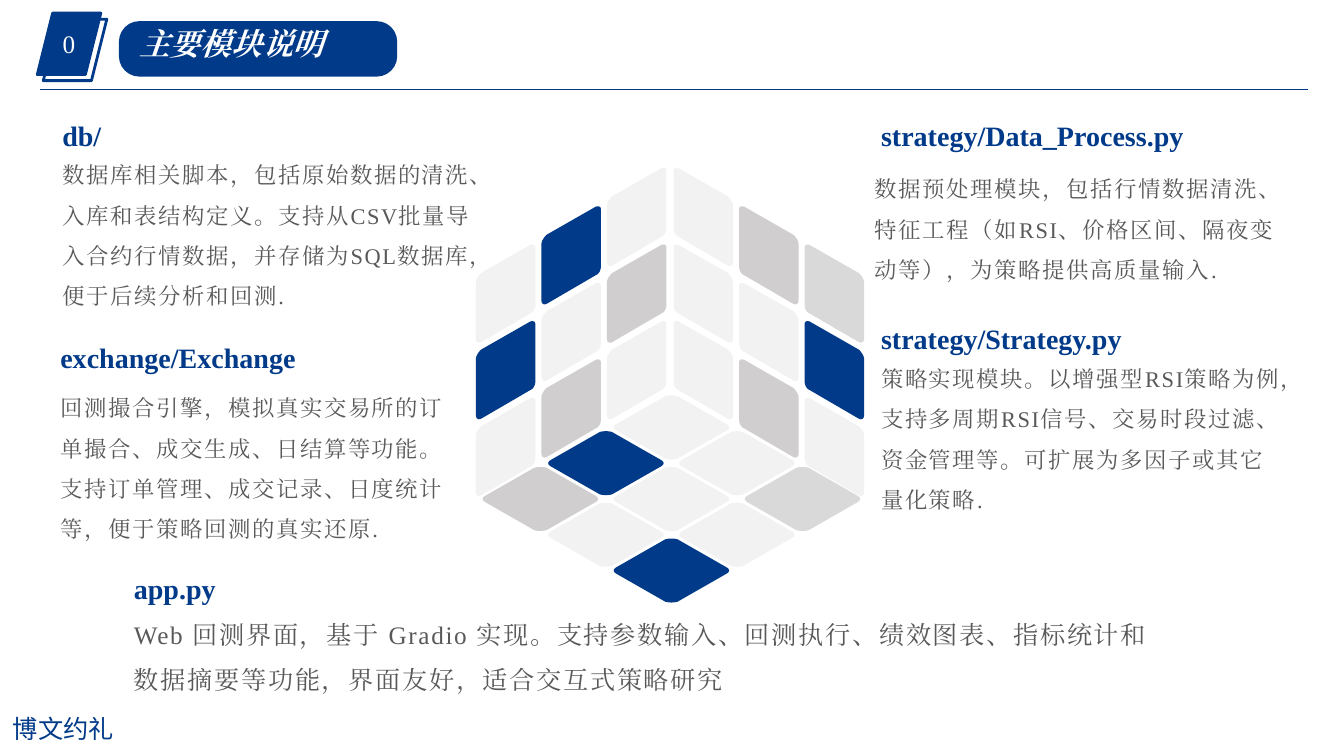
from dataclasses import dataclass

from pptx import Presentation, util as u
from pptx.dml.color import RGBColor
from pptx.enum import lang, shapes, text
from pptx.oxml import ns, xmlchemy

NAVY = RGBColor(0x01, 0x3A, 0x89)
WHITE = RGBColor(0xFF, 0xFF, 0xFF)
BODY_GREY = RGBColor(0x59, 0x59, 0x59)
PALE = RGBColor(0xF2, 0xF2, 0xF2)
SILVER = RGBColor(0xD9, 0xD9, 0xD9)
ASH = RGBColor(0xD0, 0xCE, 0xCE)
SERIF = "Times New Roman"
SANS = "Noto Sans CJK SC"

Point = tuple[float, float]


@dataclass
class Box:
    left: float
    top: float
    width: float
    height: float

    def emu(self) -> list[int]:
        return [u.Inches(v) for v in (self.left, self.top, self.width, self.height)]


@dataclass
class Module:
    heading: str
    heading_box: Box
    description: str
    description_box: Box
    size: int = 16


@dataclass
class Wall:
    outline: list[Point]
    left: float
    column_step: float
    colours: list[list[RGBColor]]  # one list per column, from the centre edge outwards


MODULES = [
    Module("strategy/Data_Process.py", Box(8.64, 1.13, 3.46, 0.44),
           "数据预处理模块，包括行情数据清洗、特征工程（如RSI、价格区间、隔夜变动等），为策略提供高质量输入.",
           Box(8.58, 1.56, 4.24, 1.31)),
    Module("app.py", Box(1.23, 5.62, 7.87, 0.44),
           "Web 回测界面，基于 Gradio 实现。支持参数输入、回测执行、绩效图表、指标统计和"
           "数据摘要等功能，界面友好，适合交互式策略研究",
           Box(1.23, 5.94, 10.51, 1.01), 18),
    Module("db/", Box(0.52, 1.13, 3.24, 0.44),
           "数据库相关脚本，包括原始数据的清洗、入库和表结构定义。支持从CSV批量"
           "导入合约行情数据，并存储为SQL数据库，便于后续分析和回测.",
           Box(0.52, 1.42, 4.34, 1.72)),
    Module("exchange/Exchange", Box(0.5, 3.33, 3.24, 0.44),
           "回测撮合引擎，模拟真实交易所的订单撮合、成交生成、日结算等功能。"
           "支持订单管理、成交记录、日度统计等，便于策略回测的真实还原.",
           Box(0.5, 3.73, 4.1, 1.72)),
    Module("strategy/Strategy.py", Box(8.64, 3.14, 3.17, 0.44),
           "策略实现模块。以增强型RSI策略为例，支持多周期RSI信号、交易时段"
           "过滤、资金管理等。可扩展为多因子或其它量化策略.",
           Box(8.64, 3.44, 4.24, 1.72)),
]


def write(shape, words: str, *, size: float, colour: RGBColor, font: str = SERIF,
          bold: bool = False, italic: bool = False, tracking: float = 0,
          line_spacing: float = 1.0, align=text.PP_ALIGN.LEFT,
          anchor=text.MSO_ANCHOR.TOP, fit=text.MSO_AUTO_SIZE.NONE) -> None:
    frame = shape.text_frame
    frame.word_wrap = True
    frame.auto_size = fit
    frame.vertical_anchor = anchor
    paragraph = frame.paragraphs[0]
    paragraph.alignment = align
    paragraph.line_spacing = line_spacing
    run = paragraph.add_run()
    run.text = words
    run.font.name, run.font.size = font, u.Pt(size)
    run.font.bold, run.font.italic = bold, italic
    run.font.color.rgb = colour
    run.font.language_id = lang.MSO_LANGUAGE_ID.SIMPLIFIED_CHINESE
    # East Asian typeface and letter spacing
    for properties in shape.element.iter(ns.qn("a:rPr")):
        east_asian = xmlchemy.OxmlElement("a:ea")
        east_asian.set("typeface", font)
        properties.find(ns.qn("a:latin")).addnext(east_asian)
        if tracking:
            properties.set("spc", str(round(tracking * 100)))


def add_text(slide, box: Box, words: str, **style) -> None:
    write(slide.shapes.add_textbox(*box.emu()), words,
          fit=text.MSO_AUTO_SIZE.SHAPE_TO_FIT_TEXT, **style)


def add_preset(slide, kind, box: Box, fill: RGBColor | None, outline: bool = False):
    shape = slide.shapes.add_shape(kind, *box.emu())
    shape.shadow.inherit = False
    if fill is None:
        shape.fill.background()
    else:
        shape.fill.solid()
        shape.fill.fore_color.rgb = fill
    if outline:
        shape.line.color.rgb = NAVY
        shape.line.width = u.Pt(2)
    else:
        shape.line.fill.background()
    return shape


def rounded(corners: list[tuple[Point, Point, Point, Point]], steps: int = 6) -> list[Point]:
    """Outline whose corners are cubic curves, given as points along each curve."""
    points = []
    for a, b, c, d in corners:
        for t in (step / steps for step in range(steps + 1)):
            s = 1 - t
            weights = (s ** 3, 3 * s * s * t, 3 * s * t * t, t ** 3)
            points.append(tuple(sum(w * p[axis] for w, p in zip(weights, (a, b, c, d)))
                                for axis in (0, 1)))
    return points


def add_tile(slide, outline: list[Point], left: float, top: float, colour: RGBColor) -> None:
    points = [(u.Inches(left + x), u.Inches(top + y)) for x, y in outline]
    builder = slide.shapes.build_freeform(*points[0])
    builder.add_line_segments(points[1:], close=True)
    tile = builder.convert_to_shape()
    tile.shadow.inherit = False
    tile.fill.solid()
    tile.fill.fore_color.rgb = colour
    tile.line.fill.background()


def add_cube(slide) -> None:
    left_tile = rounded([
        ((0.05, 0.29), (0.03, 0.31), (0, 0.35), (0, 0.38)),
        ((0, 0.94), (0, 0.98), (0.03, 0.99), (0.06, 0.97)),
        ((0.54, 0.69), (0.57, 0.68), (0.59, 0.64), (0.59, 0.6)),
        ((0.59, 0.04), (0.59, 0.01), (0.57, 0), (0.54, 0.01))])
    right_tile = [(0.59 - x, y) for x, y in left_tile]
    floor_tile = rounded([
        ((0.63, 0.01), (0.59, 0), (0.55, 0), (0.51, 0.01)),
        ((0.02, 0.29), (-0.01, 0.31), (-0.01, 0.33), (0.02, 0.35)),
        ((0.51, 0.63), (0.55, 0.64), (0.59, 0.64), (0.63, 0.63)),
        ((1.12, 0.35), (1.15, 0.33), (1.15, 0.31), (1.12, 0.29))])

    # Two walls: each column outwards sits half a tile lower
    walls = [
        Wall(left_tile, 6.02, -0.65,
             [[PALE, ASH, PALE], [NAVY, PALE, ASH], [PALE, NAVY, PALE]]),
        Wall(right_tile, 6.68, 0.65,
             [[PALE, PALE, PALE], [ASH, PALE, ASH], [SILVER, NAVY, PALE]])]
    for wall in walls:
        for column, colours in enumerate(wall.colours):
            for row, colour in enumerate(colours):
                add_tile(slide, wall.outline, wall.left + column * wall.column_step,
                         1.66 + 0.76 * row + 0.38 * column, colour)

    # Floor: rows run down to the left, columns down to the right
    floor_colours = [[PALE, PALE, SILVER], [NAVY, PALE, PALE], [ASH, PALE, NAVY]]
    floor_depth = 1.42
    for row, colours in enumerate(floor_colours):
        for column, colour in enumerate(colours):
            add_tile(slide, floor_tile, 6.09 + 0.65 * (column - row),
                     3.92 + floor_depth * (column + row) / 4, colour)


def add_header(slide) -> None:
    banner = add_preset(slide, shapes.MSO_SHAPE.ROUNDED_RECTANGLE,
                        Box(1.18, 0.21, 2.76, 0.55), NAVY)
    banner.adjustments[0] = 0.37
    number_card = add_preset(slide, shapes.MSO_SHAPE.PARALLELOGRAM,
                             Box(0.37, 0.13, 0.63, 0.61), NAVY, outline=True)
    write(number_card, "0", size=18, colour=WHITE,
          align=text.PP_ALIGN.CENTER, anchor=text.MSO_ANCHOR.MIDDLE)
    add_preset(slide, shapes.MSO_SHAPE.PARALLELOGRAM,
               Box(0.43, 0.19, 0.63, 0.61), None, outline=True)

    rule = slide.shapes.add_connector(
        shapes.MSO_CONNECTOR.STRAIGHT, *[u.Inches(v) for v in (0.4, 0.89, 12.97, 0.89)])
    rule.line.color.rgb = NAVY
    rule.line.width = u.Pt(0.75)
    rule.element.find(ns.qn("p:spPr")).append(xmlchemy.OxmlElement("a:effectLst"))

    # Title goes in front of the banner
    title = slide.shapes.title
    title.left, title.top, title.width, title.height = Box(1.28, 0.2, 2.54, 0.47).emu()
    write(title, "主要模块说明", size=22, colour=WHITE, bold=True, italic=True)
    title.element.getparent().append(title.element)


def main() -> None:
    deck = Presentation()
    deck.slide_width, deck.slide_height = u.Inches(13.33), u.Inches(7.5)
    slide = deck.slides.add_slide(deck.slide_layouts.get_by_name("Title Only"))

    add_text(slide, Box(0.03, 7.03, 3.54, 0.4), "博文约礼", size=18, colour=NAVY, font=SANS)
    add_header(slide)
    add_cube(slide)
    for module in MODULES:
        add_text(slide, module.heading_box, module.heading, size=20, colour=NAVY, bold=True)
        add_text(slide, module.description_box, module.description, size=module.size,
                 colour=BODY_GREY, tracking=1.2, line_spacing=1.5)
    deck.save("out.pptx")


if __name__ == "__main__":
    main()
